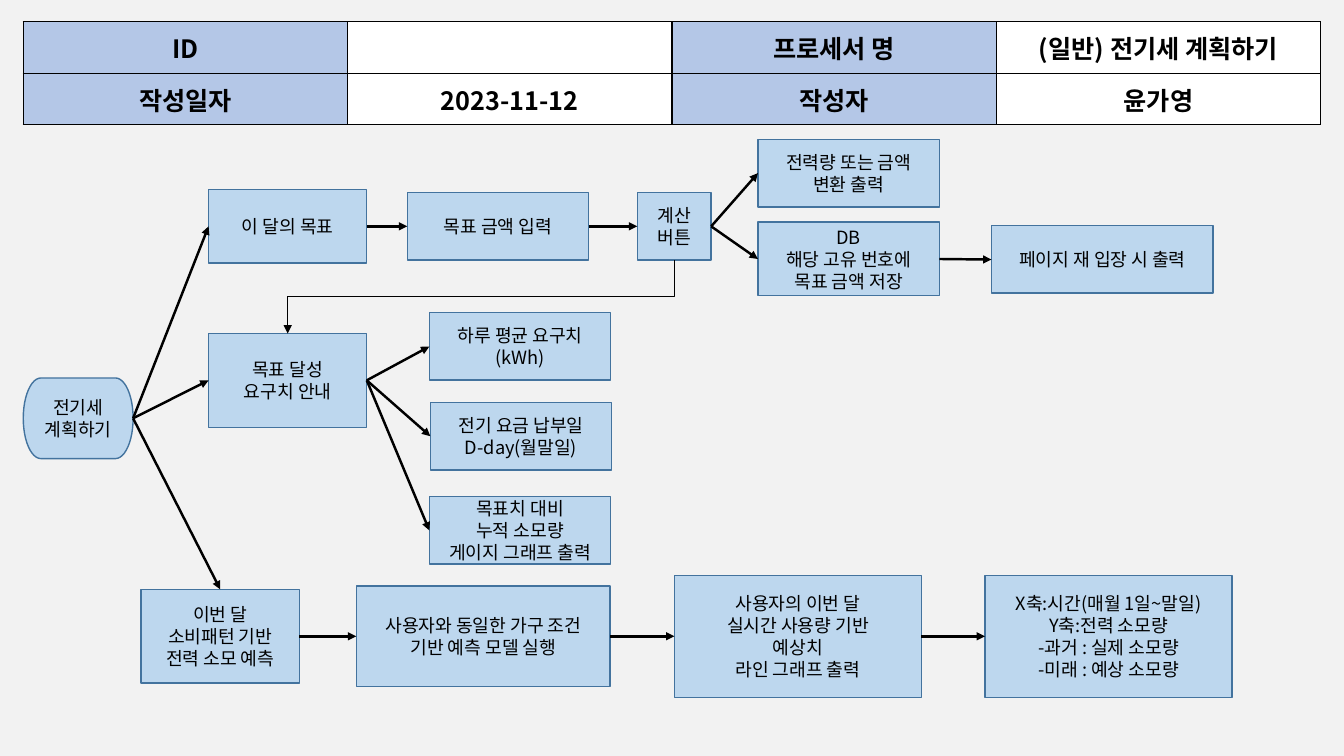
"""Build the process-flow slide for planning the electricity bill."""
from lxml import etree
from pptx import Presentation
from pptx import util as u
from pptx.dml.color import RGBColor
from pptx.enum import shapes, text
from pptx.oxml.ns import qn

HEADER = [
    ["ID", "", "프로세서 명", "(일반) 전기세 계획하기"],
    ["작성일자", "2023-11-12", "작성자", "윤가영"],
]
HEADER_BOX = (16.6, 15.5, 926.8, 73.6)

STEP_SIZES = {
    "start": (78.5, 57.6), "goal": (113, 52.6), "branch": (113, 67),
    "detail": (129.6, 48.2), "button": (52.8, 48.2), "store": (129.6, 52.6),
    "page": (158.4, 48.2), "model": (181.4, 72), "chart": (176.4, 87.2),
}
TOP_ROW, BOTTOM_ROW = 161.7, 454.5

# name: (size, left, vertical centre, lines)
STEPS = {
    "plan": ("start", 16.6, 298.8, ["전기세", "계획하기"]),
    "goal": ("goal", 149, TOP_ROW, ["이 달의 목표"]),
    "guide": ("branch", 149, 271.7, ["목표 달성", "요구치 안내"]),
    "forecast": ("branch", 100.8, BOTTOM_ROW, ["이번 달", "소비패턴 기반", "전력 소모 예측"]),
    "amount": ("detail", 290.9, TOP_ROW, ["목표 금액 입력"]),
    "calculate": ("button", 455.2, TOP_ROW, ["계산", "버튼"]),
    "convert": ("detail", 541.4, 123.7, ["전력량 또는 금액", "변환 출력"]),
    "save": ("store", 541.4, 185, ["DB", "해당 고유 번호에", "목표 금액 저장"]),
    "reentry": ("page", 708.2, 185.4, ["페이지 재 입장 시 출력"]),
    "daily": ("detail", 306.7, 247.5, ["하루 평균 요구치", "(kWh)"]),
    "payday": ("detail", 307.4, 311.6, ["전기 요금 납부일", "D-day(월말일)"]),
    "gauge": ("detail", 306.7, 378.9, ["목표치 대비", "누적 소모량", "게이지 그래프 출력"]),
    "model": ("model", 254.5, BOTTOM_ROW, ["사용자와 동일한 가구 조건", "기반 예측 모델 실행"]),
    "estimate": ("chart", 481.7, BOTTOM_ROW,
                 ["사용자의 이번 달", "실시간 사용량 기반", "예상치", "라인 그래프 출력"]),
    "axes": ("chart", 703.6, BOTTOM_ROW,
             ["X축:시간(매월 1일~말일)", "Y축:전력 소모량", "-과거 : 실제 소모량", "-미래 : 예상 소모량"]),
}
TOP, LEFT, BOTTOM, RIGHT = range(4)
FLOWS = [
    ("plan", "goal", LEFT), ("plan", "guide", LEFT), ("plan", "forecast", TOP),
    ("goal", "amount", LEFT), ("amount", "calculate", LEFT),
    ("calculate", "convert", LEFT), ("calculate", "save", LEFT),
    ("save", "reentry", LEFT),
    ("guide", "daily", LEFT), ("guide", "payday", LEFT), ("guide", "gauge", LEFT),
    ("forecast", "model", LEFT), ("model", "estimate", LEFT), ("estimate", "axes", LEFT),
]
THEME = {
    "font": "Noto Sans CJK KR", "header_size": 18, "step_size": 13,
    "page": "F2F2F2", "ink": "000000", "label": "B4C7E7", "value": "FFFFFF",
    "step": "BDD7EE", "step_line": "43739E",
    "border": 1, "flow": 1.75, "return": 0.5,
}


def color(key):
    return RGBColor.from_string(THEME[key])


def paint(fill, key):
    fill.solid()
    fill.fore_color.rgb = color(key)


def write(frame, lines, size, bold=False):
    for index, line in enumerate(lines):
        paragraph = frame.paragraphs[0] if index == 0 else frame.add_paragraph()
        paragraph.alignment = text.PP_ALIGN.CENTER
        run = paragraph.add_run()
        run.text = line
        font = run.font
        font.name, font.size, font.bold = THEME["font"], u.Pt(THEME[size]), bold
        font.color.rgb = color("ink")
        east_asian = etree.SubElement(run._r.get_or_add_rPr(), qn("a:ea"))
        east_asian.set("typeface", THEME["font"])


def add_border(cell):
    properties = cell._tc.get_or_add_tcPr()
    for side in ("lnL", "lnR", "lnT", "lnB"):
        edge = etree.SubElement(properties, qn(f"a:{side}"), w=str(u.Pt(THEME["border"])))
        solid = etree.SubElement(edge, qn("a:solidFill"))
        etree.SubElement(solid, qn("a:srgbClr"), val=THEME["ink"])


def add_header(slide):
    left, top, width, height = HEADER_BOX
    rows, columns = len(HEADER), len(HEADER[0])
    table = slide.shapes.add_table(rows, columns, *map(u.Pt, HEADER_BOX)).table
    for column in table.columns:
        column.width = u.Pt(width / columns)
    for row, labels in zip(table.rows, HEADER):
        row.height = u.Pt(height / rows)
        for index, (cell, label) in enumerate(zip(row.cells, labels)):
            cell.vertical_anchor = text.MSO_ANCHOR.MIDDLE
            add_border(cell)
            paint(cell.fill, "value" if index % 2 else "label")
            if label:
                write(cell.text_frame, [label], "header_size", True)


def add_step(slide, size, left, middle, lines):
    width, height = STEP_SIZES[size]
    kinds = shapes.MSO_SHAPE
    kind = kinds.FLOWCHART_TERMINATOR if size == "start" else kinds.RECTANGLE
    step = slide.shapes.add_shape(
        kind, *map(u.Pt, (left, middle - height / 2, width, height)))
    step.shadow.inherit = False
    paint(step.fill, "step")
    step.line.color.rgb = color("step_line")
    step.line.width = u.Pt(THEME["border"])
    step.text_frame.word_wrap = True
    step.text_frame.vertical_anchor = text.MSO_ANCHOR.MIDDLE
    write(step.text_frame, lines, "step_size")
    return step


def add_arrow(slide, kind, ends, weight):
    arrow = slide.shapes.add_connector(kind, *ends)
    arrow.line.color.rgb = color("ink")
    arrow.line.width = u.Pt(THEME[weight])
    etree.SubElement(arrow.line._get_or_add_ln(), qn("a:tailEnd"), type="triangle")
    etree.SubElement(arrow._element.spPr, qn("a:effectLst"))
    return arrow


def add_return(slide, source, target):
    x1, y1 = source.left + source.width // 2, source.top + source.height
    x2, y2 = target.left + target.width // 2, target.top
    middle_x, middle_y = (x1 + x2) // 2, (y1 + y2) // 2
    half_drop, half_span = (y2 - y1) // 2, (x1 - x2) // 2
    ends = (middle_x - half_drop, middle_y - half_span,
            middle_x + half_drop, middle_y + half_span)
    arrow = add_arrow(slide, shapes.MSO_CONNECTOR.ELBOW, ends, "return")
    arrow._element.spPr.find(qn("a:xfrm")).set("rot", str(90 * 60000))


def main():
    deck = Presentation()
    deck.slide_width, deck.slide_height = u.Pt(960), u.Pt(540)
    slide = deck.slides.add_slide(deck.slide_layouts[6])
    paint(slide.background.fill, "page")
    add_header(slide)
    steps = {name: add_step(slide, *step) for name, step in STEPS.items()}
    for source, target, side in FLOWS:
        arrow = add_arrow(slide, shapes.MSO_CONNECTOR.STRAIGHT, (0, 0, 0, 0), "flow")
        arrow.begin_connect(steps[source], RIGHT)
        arrow.end_connect(steps[target], side)
    add_return(slide, steps["calculate"], steps["guide"])
    deck.save("out.pptx")


if __name__ == "__main__":
    main()
